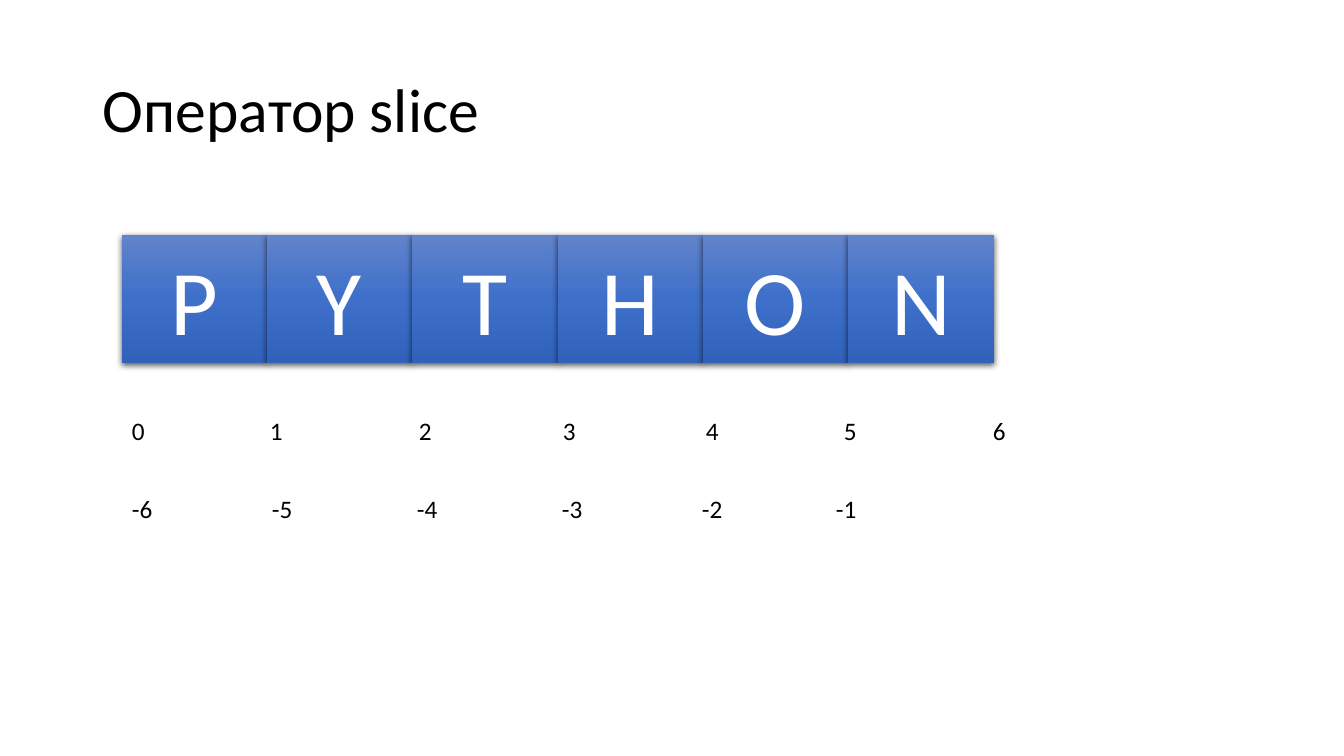
from dataclasses import dataclass

from pptx import Presentation
from pptx.dml.color import RGBColor
from pptx.enum.shapes import MSO_SHAPE as Shape
from pptx.enum.text import MSO_ANCHOR as Anchor, PP_ALIGN as Align
from pptx.oxml import parse_xml
from pptx.oxml.ns import nsdecls
from pptx.slide import Slide
from pptx.text.text import TextFrame
from pptx.util import Emu, Pt

SCALE = 914400 / 100.8
FONT = "Calibri"
BLACK = RGBColor(0x00, 0x00, 0x00)
WHITE = RGBColor(0xFF, 0xFF, 0xFF)
LIGHT = RGBColor(0x61, 0x83, 0xCB)
MID = RGBColor(0x3E, 0x70, 0xCA)
DARK = RGBColor(0x30, 0x62, 0xBB)

WORD = "PYTHON"
LEFT = 122
SPAN = 872


@dataclass(frozen=True)
class Box:
    left: int
    top: int
    width: int
    height: int

    def emu(self) -> tuple[Emu, Emu, Emu, Emu]:
        return px(self.left), px(self.top), px(self.width), px(self.height)


@dataclass(frozen=True)
class Row:
    box: Box
    start: int
    tabs: tuple[int, ...]


ROWS = (
    Row(Box(LEFT, 410, 915, 40), 0, (138, 287, 431, 574, 712, 861)),
    Row(Box(LEFT, 488, 762, 40), -6, (140, 285, 430, 570, 704)),
)


def px(count: int) -> Emu:
    return Emu(round(count * SCALE))


def style(frame: TextFrame, text: str, size: int, color: RGBColor) -> None:
    frame.text = text
    font = frame.paragraphs[0].runs[0].font
    font.name = FONT
    font.size = Pt(size)
    font.color.rgb = color


def add_text(slide: Slide, box: Box, text: str, size: int) -> TextFrame:
    frame = slide.shapes.add_textbox(*box.emu()).text_frame
    frame.word_wrap = True
    style(frame, text, size, BLACK)
    return frame


def add_title(slide: Slide) -> None:
    frame = add_text(slide, Box(93, 40, 1159, 146), "Оператор slice", 44)
    frame.vertical_anchor = Anchor.MIDDLE
    frame.paragraphs[0].line_spacing = 0.9


def add_tile(slide: Slide, box: Box, letter: str) -> None:
    tile = slide.shapes.add_shape(Shape.RECTANGLE, *box.emu())
    tile.line.fill.background()
    stops = "".join(
        f'<a:gs pos="{pos}"><a:srgbClr val="{color}"/></a:gs>'
        for pos, color in ((0, LIGHT), (50000, MID), (100000, DARK))
    )
    props = tile._element.spPr
    props.ln.addprevious(parse_xml(
        f'<a:gradFill {nsdecls("a")}><a:gsLst>{stops}</a:gsLst>'
        '<a:lin ang="5400000" scaled="0"/></a:gradFill>'
    ))
    props.append(parse_xml(
        f'<a:effectLst {nsdecls("a")}>'
        f'<a:outerShdw blurRad="{Pt(4.5)}" dist="{Pt(1.5)}" dir="5400000"'
        f' algn="ctr" rotWithShape="0"><a:srgbClr val="{BLACK}">'
        '<a:alpha val="63000"/></a:srgbClr></a:outerShdw></a:effectLst>'
    ))
    frame = tile.text_frame
    frame.vertical_anchor = Anchor.MIDDLE
    style(frame, letter, 66, WHITE)
    frame.paragraphs[0].alignment = Align.CENTER


def add_row(slide: Slide, row: Row) -> None:
    count = len(row.tabs) + 1
    text = "\t".join(str(row.start + step) for step in range(count))
    frame = add_text(slide, row.box, text, 18)
    stops = "".join(f'<a:tab pos="{px(tab)}" algn="l"/>' for tab in row.tabs)
    frame.paragraphs[0]._p.get_or_add_pPr().append(
        parse_xml(f'<a:tabLst {nsdecls("a")}>{stops}</a:tabLst>')
    )


def main() -> None:
    deck = Presentation()
    deck.slide_width = px(1344)
    deck.slide_height = px(756)
    slide = deck.slides.add_slide(deck.slide_layouts[6])
    add_title(slide)
    edges = [LEFT + SPAN * step // len(WORD) for step in range(len(WORD) + 1)]
    for letter, left, right in zip(WORD, edges, edges[1:]):
        add_tile(slide, Box(left, 235, right - left, 128), letter)
    for row in ROWS:
        add_row(slide, row)
    deck.save("out.pptx")


if __name__ == "__main__":
    main()
